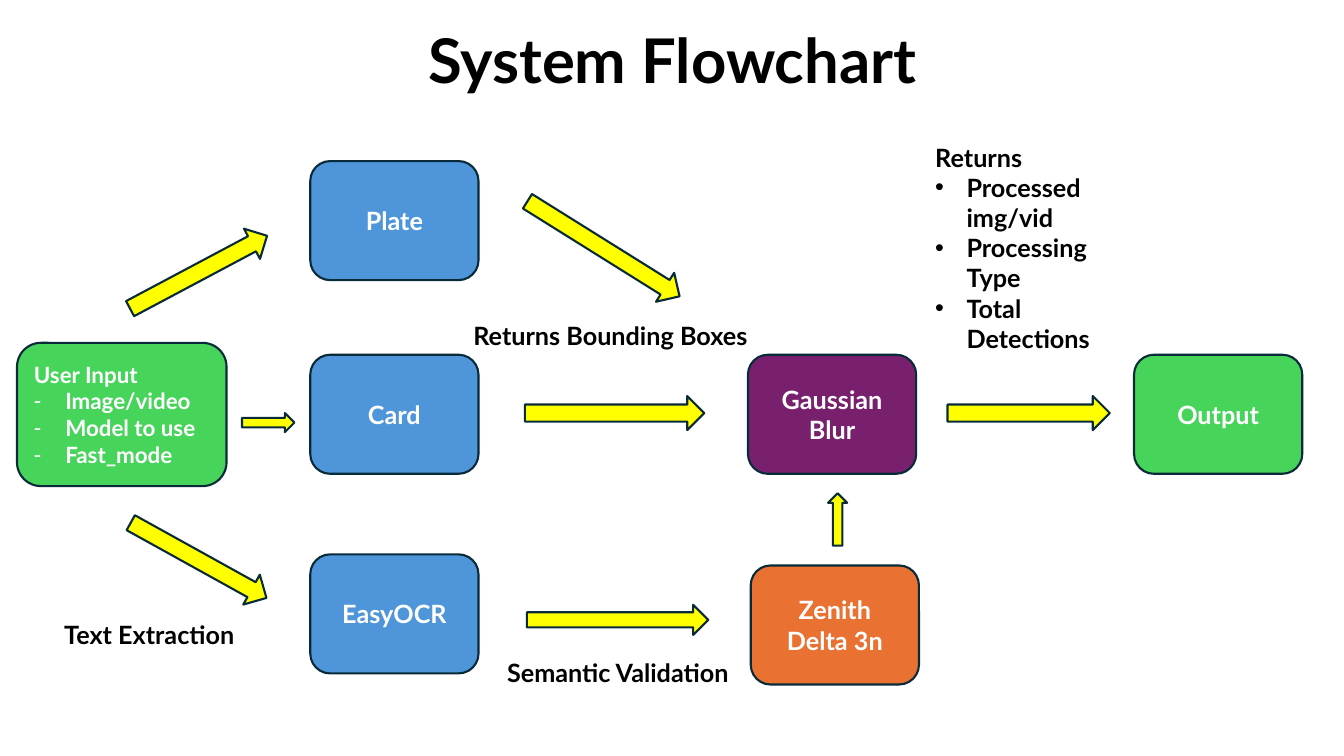
from dataclasses import dataclass

from lxml import etree
from pptx import Presentation
from pptx.dml.color import RGBColor
from pptx.enum.shapes import MSO_SHAPE
from pptx.enum.text import MSO_ANCHOR, MSO_AUTO_SIZE, PP_ALIGN
from pptx.oxml.ns import qn
from pptx.shapes.autoshape import Shape
from pptx.slide import Slide
from pptx.text.text import TextFrame, _Paragraph
from pptx.util import Cm, Pt

ROUNDED = MSO_SHAPE.ROUNDED_RECTANGLE
RIGHT_ARROW = MSO_SHAPE.RIGHT_ARROW
LEFT = PP_ALIGN.LEFT
CENTER = PP_ALIGN.CENTER
MIDDLE = MSO_ANCHOR.MIDDLE
FIT_SHAPE = MSO_AUTO_SIZE.SHAPE_TO_FIT_TEXT


@dataclass(frozen=True)
class Theme:
    font: str = "Lato"
    bullet_font: str = "Arial"
    black: str = "000000"
    white: str = "FFFFFF"
    green: str = "47D45A"
    blue: str = "4E95D9"
    purple: str = "78206E"
    orange: str = "E97132"
    yellow: str = "FFFF00"
    outline: str = "092A39"
    outline_width: float = 1.5
    title_size: int = 44
    body_size: int = 18
    input_size: int = 16


THEME = Theme()

BOX_WIDTH, BOX_HEIGHT = 4.24, 3.0
DETECTOR_LEFT, BLUR_LEFT, OUTPUT_LEFT = 7.82, 18.85, 28.58
MIDDLE_TOP = 8.94
ARROW_HEIGHT, SMALL_WIDTH, SMALL_HEIGHT = 0.86, 1.32, 0.48
FORK_LEFT, FORK_WIDTH = 3.05, 3.91
MIDDLE_ARROW_TOP = 9.98
LABEL_HEIGHT = 1.02
BULLET_INDENT = 0.79


@dataclass(frozen=True)
class Node:
    text: str
    left: float
    top: float
    fill: str
    width: float = BOX_WIDTH
    height: float = BOX_HEIGHT
    size: int = THEME.body_size
    align: PP_ALIGN = CENTER
    bullet: str = ""


@dataclass(frozen=True)
class Arrow:
    left: float
    top: float
    width: float
    height: float = ARROW_HEIGHT
    rotation: int = 0


@dataclass(frozen=True)
class Label:
    text: str
    left: float
    top: float
    width: float
    height: float = LABEL_HEIGHT
    size: int = THEME.body_size
    align: PP_ALIGN = LEFT
    bullet: str = ""


NODES = [
    Node("User Input\nImage/video\nModel to use\nFast_mode", 0.43, 8.64, THEME.green,
         5.28, 3.61, THEME.input_size, LEFT, "-"),
    Node("Plate", DETECTOR_LEFT, 4.06, THEME.blue),
    Node("Card", DETECTOR_LEFT, MIDDLE_TOP, THEME.blue),
    Node("EasyOCR", DETECTOR_LEFT, 13.97, THEME.blue),
    Node("Gaussian Blur", BLUR_LEFT, MIDDLE_TOP, THEME.purple),
    Node("Zenith\nDelta 3n", 18.92, 14.25, THEME.orange),
    Node("Output", OUTPUT_LEFT, MIDDLE_TOP, THEME.green),
]

ARROWS = [
    Arrow(FORK_LEFT, 6.43, FORK_WIDTH, rotation=332),
    Arrow(6.1, 10.41, SMALL_WIDTH, SMALL_HEIGHT),
    Arrow(FORK_LEFT, 13.69, FORK_WIDTH, rotation=29),
    Arrow(12.95, 5.84, 4.52, rotation=32),
    Arrow(13.23, MIDDLE_ARROW_TOP, 4.52),
    Arrow(13.28, 15.24, 4.57, 0.76),
    Arrow(20.45, 12.85, SMALL_WIDTH, SMALL_HEIGHT, 270),
    Arrow(23.88, MIDDLE_ARROW_TOP, 4.09),
]

LABELS = [
    Label("System Flowchart", 3.07, 0.43, 27.76, 2.13, THEME.title_size, CENTER),
    Label("Returns Bounding Boxes", 11.68, 7.95, 9.42),
    Label("Text Extraction", 1.37, 15.49, 5.51),
    Label("Semantic Validation", 11.76, 16.43, 7.62, align=CENTER),
    Label("Returns\nProcessed img/vid\nProcessing Type\nTotal Detections",
          23.32, 3.45, 5.16, 5.64, bullet="•"),
]


def add_bullet(para: _Paragraph, bullet: str) -> None:
    properties = para._p.get_or_add_pPr()
    properties.set("marL", str(Cm(BULLET_INDENT)))
    properties.set("indent", str(-Cm(BULLET_INDENT)))
    etree.SubElement(properties, qn("a:buFont"), typeface=THEME.bullet_font)
    etree.SubElement(properties, qn("a:buChar"), char=bullet)


def write_text(frame: TextFrame, item: Node | Label, color: str) -> None:
    frame.word_wrap = True
    frame.text = item.text
    for index, para in enumerate(frame.paragraphs):
        para.alignment = item.align
        if item.bullet and index > 0:
            add_bullet(para, item.bullet)
        for span in para.runs:
            span.font.name = THEME.font
            span.font.size = Pt(item.size)
            span.font.bold = True
            span.font.color.rgb = RGBColor.from_string(color)


def add_outlined(page: Slide, kind: MSO_SHAPE, item: Node | Arrow, fill: str) -> Shape:
    shape = page.shapes.add_shape(
        kind, Cm(item.left), Cm(item.top), Cm(item.width), Cm(item.height))
    shape.shadow.inherit = False
    shape.fill.solid()
    shape.fill.fore_color.rgb = RGBColor.from_string(fill)
    shape.line.color.rgb = RGBColor.from_string(THEME.outline)
    shape.line.width = Pt(THEME.outline_width)
    return shape


def add_node(page: Slide, node: Node) -> None:
    box = add_outlined(page, ROUNDED, node, node.fill)
    box.text_frame.vertical_anchor = MIDDLE
    write_text(box.text_frame, node, THEME.white)


def add_arrow(page: Slide, arrow: Arrow) -> None:
    shape = add_outlined(page, RIGHT_ARROW, arrow, THEME.yellow)
    shape.rotation = arrow.rotation


def add_label(page: Slide, label: Label) -> None:
    box = page.shapes.add_textbox(
        Cm(label.left), Cm(label.top), Cm(label.width), Cm(label.height))
    box.text_frame.auto_size = FIT_SHAPE
    write_text(box.text_frame, label, THEME.black)


def main() -> None:
    deck = Presentation()
    deck.slide_width, deck.slide_height = Cm(33.87), Cm(19.05)
    page = deck.slides.add_slide(deck.slide_layouts[6])
    for node in NODES:
        add_node(page, node)
    for arrow in ARROWS:
        add_arrow(page, arrow)
    for label in LABELS:
        add_label(page, label)
    deck.save("out.pptx")


if __name__ == "__main__":
    main()
